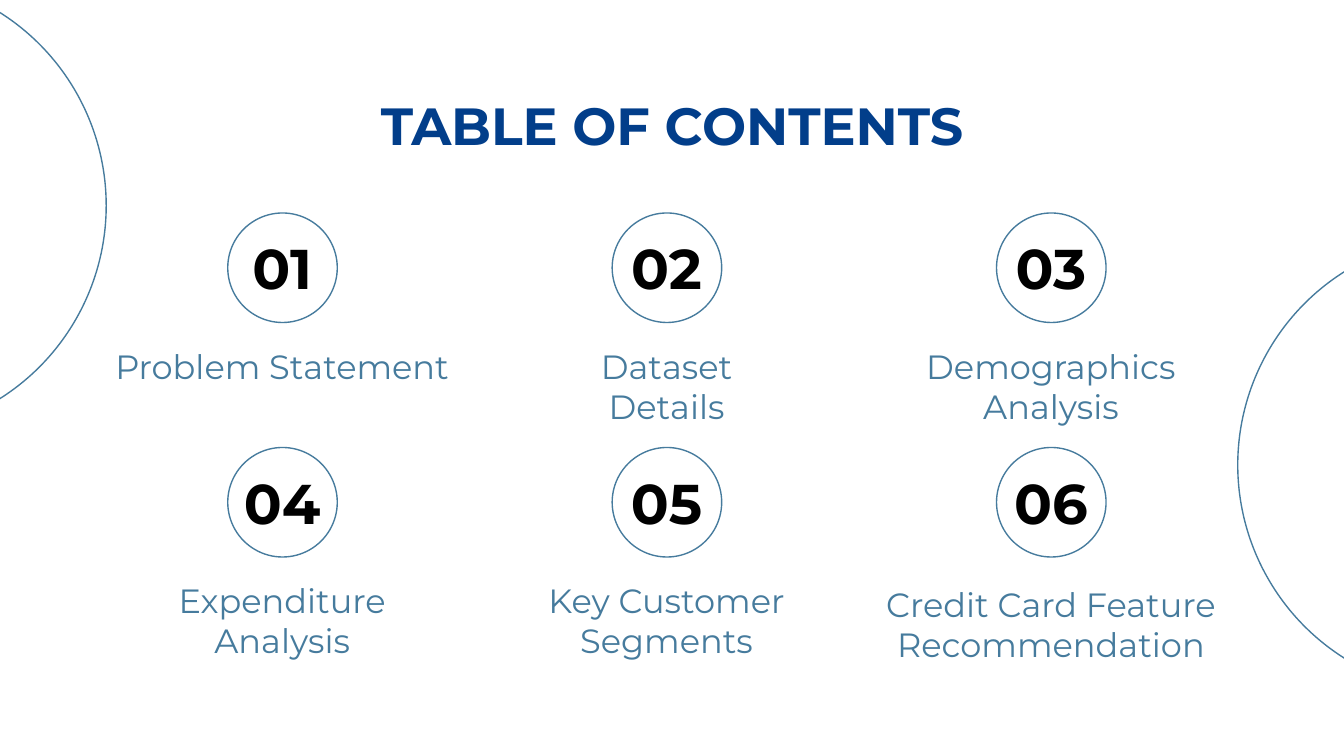
from pptx import Presentation
from pptx.dml.color import RGBColor
from pptx.enum.shapes import MSO_SHAPE as Shape
from pptx.enum.text import MSO_ANCHOR as Anchor, MSO_AUTO_SIZE as AutoSize, PP_ALIGN as Align
from pptx.util import Pt

PX = 4572
NAVY = RGBColor(0x02, 0x3E, 0x8A)
STEEL = RGBColor(0x46, 0x7B, 0x9D)
BLACK = RGBColor(0, 0, 0)

TITLE = {"size": Pt(28), "bold": True, "color": NAVY}
NUMBER = {"size": Pt(30), "bold": True, "color": BLACK}
LABEL = {"size": Pt(18), "bold": False, "color": STEEL}

COLUMNS = 3
PITCH_X, PITCH_Y = 572, 349
NORMAL = (0, 177, 540, 150)
WIDE = (-50, 183, 640, 218)
TOPICS = [
    ("Problem Statement", NORMAL),
    ("Dataset\nDetails", NORMAL),
    ("Demographics\nAnalysis", NORMAL),
    ("Expenditure Analysis", NORMAL),
    ("Key Customer Segments", NORMAL),
    ("Credit Card Feature Recommendation", WIDE),
]


def emu(*lengths):
    """Turn px lengths into EMU."""
    return [length * PX for length in lengths]


def write(sp, text, style, anchor=Anchor.TOP):
    """Fill a shape with centred, formatted text."""
    tf = sp.text_frame
    tf.text = text
    margins = {f"margin_{side}": 20 * PX for side in ("left", "top", "right", "bottom")}
    frame = {"word_wrap": True, "auto_size": AutoSize.NONE, "vertical_anchor": anchor}
    for name, value in {**margins, **frame}.items():
        setattr(tf, name, value)
    for p in tf.paragraphs:
        p.alignment = Align.CENTER
        for r in p.runs:
            r.font.name = "Montserrat"
            r.font.color.rgb = style["color"]
            for name in ("size", "bold"):
                setattr(r.font, name, style[name])


def add_ring(s, x, y, size):
    """Draw an unfilled circle with a thin outline."""
    sp = s.shapes.add_shape(Shape.OVAL, *emu(x, y, size, size))
    sp.shadow.inherit = False
    sp.fill.background()
    sp.line.color.rgb = STEEL
    sp.line.width = Pt(0.75)


def add_title(s, x, y, w, h):
    """Place the slide title."""
    sp = s.shapes.title
    for name, value in zip(("left", "top", "width", "height"), emu(x, y, w, h)):
        setattr(sp, name, value)
    write(sp, "TABLE OF CONTENTS", TITLE)


def add_topic(s, x, y, number, label, label_box):
    """Place one ringed number with its label below."""
    add_ring(s, x + 189, y, 163)
    sp = s.shapes.add_textbox(*emu(x + 160, y + 23, 220, 116))
    write(sp, f"{number:02}", NUMBER, Anchor.MIDDLE)
    dx, dy, w, h = label_box
    write(s.shapes.add_textbox(*emu(x + dx, y + dy, w, h)), label, LABEL)


def add_topics(s, x, y):
    """Lay the topics out in a grid."""
    for i, (label, label_box) in enumerate(TOPICS):
        row, col = divmod(i, COLUMNS)
        add_topic(s, x + col * PITCH_X, y + row * PITCH_Y, i + 1, label, label_box)


def main():
    """Build and save the contents slide."""
    prs = Presentation()
    prs.slide_width, prs.slide_height = emu(2000, 1125)
    s = prs.slides.add_slide(prs.slide_layouts.get_by_name("Title Only"))
    add_ring(s, -522, -34, 680)
    add_ring(s, 1842, 352, 680)
    add_title(s, 158, 119, 1684, 126)
    add_topics(s, 150, 317)
    prs.save("out.pptx")


if __name__ == "__main__":
    main()
